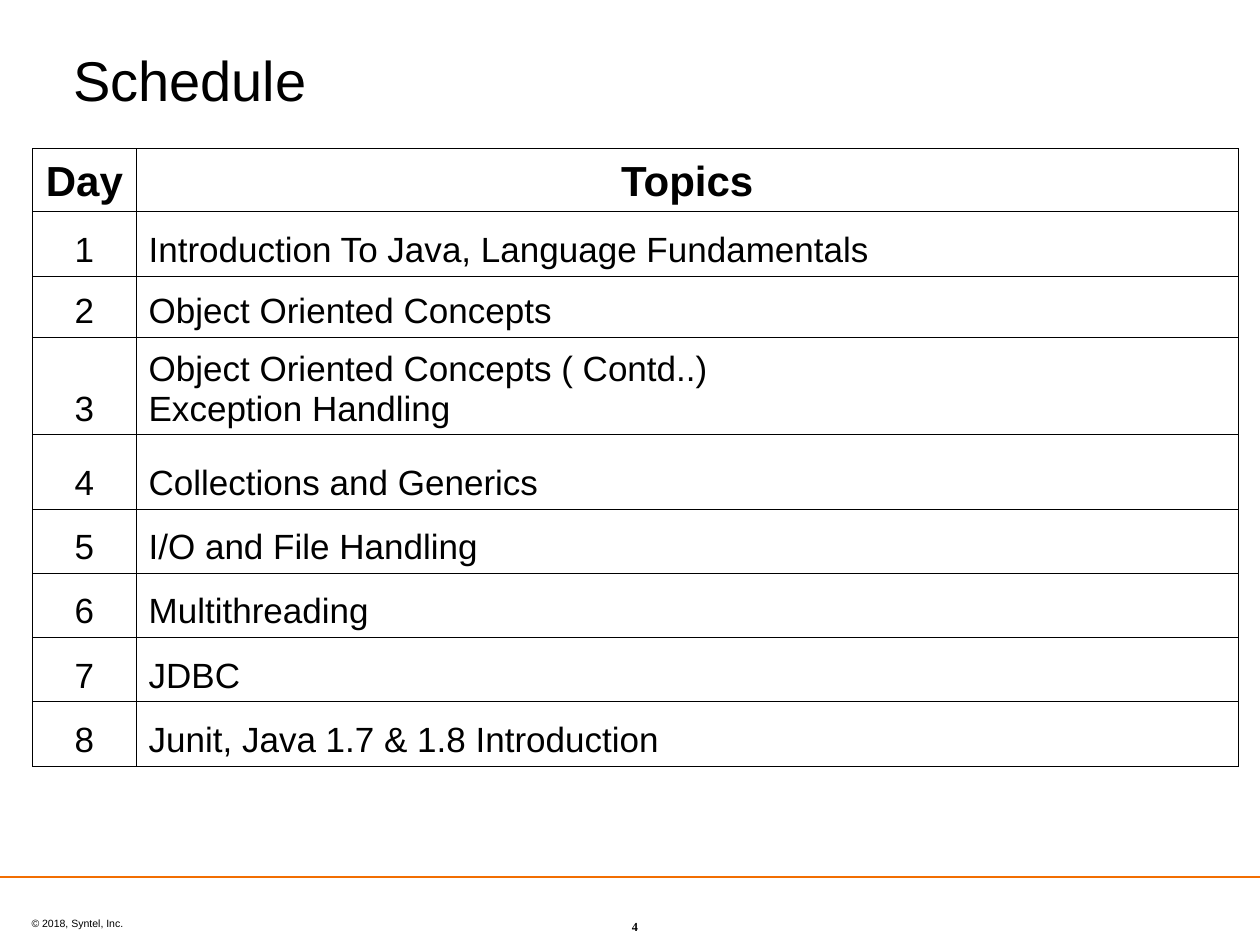
from lxml import etree
from pptx import Presentation, util as u
from pptx.dml.color import RGBColor
from pptx.enum import shapes, text
from pptx.oxml import parse_xml
from pptx.oxml.ns import nsdecls, qn

COLORS = {"ink": "000000", "paper": "FFFFFF", "rule": "F26E01"}
TOPICS = [
    "Introduction To Java, Language Fundamentals",
    "Object Oriented Concepts",
    "Object Oriented Concepts ( Contd..)\nException Handling",
    "Collections and Generics",
    "I/O and File Handling",
    "Multithreading",
    "JDBC",
    "Junit, Java 1.7 & 1.8 Introduction",
]
COLUMN_SHARES = [8.2, 87.5]
ROW_SHARES = [6.67, 6.8, 6.53, 10.27, 7.87] + [6.8] * 4

presentation = Presentation()
presentation.slide_width, presentation.slide_height = u.Inches(10), u.Inches(7.5)
slide = presentation.slides.add_slide(presentation.slide_layouts[5])


def area(left, top, width, height):
    """Turn percentages of the slide into a left, top, width, height list."""
    across, down = presentation.slide_width, presentation.slide_height
    return [int(share * side / 100) for share, side in
            ((left, across), (top, down), (width, across), (height, down))]


def write(frame, wording, size, align, name="Arial", bold=False):
    frame.text = wording
    for paragraph in frame.paragraphs:
        paragraph.alignment = align
        font_format = {"name": name, "size": u.Pt(size), "bold": bold}
        for key, value in font_format.items():
            setattr(paragraph.font, key, value)
        paragraph.font.color.rgb = RGBColor.from_string(COLORS["ink"])


LEFT, CENTER = text.PP_ALIGN.LEFT, text.PP_ALIGN.CENTER

# Footer: rule, copyright line and page number
left, top, width, _ = area(0, 92.8, 100, 0)
rule = slide.shapes.add_connector(
    shapes.MSO_CONNECTOR.STRAIGHT, left, top, left + width, top)
rule.line.color.rgb = RGBColor.from_string(COLORS["rule"])
rule.line.width = u.Pt(0.75)
etree.SubElement(rule._element.spPr, qn("a:effectLst"))

footers = [
    ("© 2018, Syntel, Inc.", (2.5, 97.07, 7.3, 1.33), 6, LEFT, "Arial", False),
    ("4", (48.2, 97.2, 4.4, 1.6), 7, CENTER, "Times New Roman", True),
]
for wording, place, size, align, name, bold in footers:
    frame = slide.shapes.add_textbox(*area(*place)).text_frame
    write(frame, wording, size, align, name, bold)
    frame_format = {
        "margin_left": 0, "margin_top": 0, "margin_right": 0, "margin_bottom": 0,
        "word_wrap": False, "auto_size": text.MSO_AUTO_SIZE.SHAPE_TO_FIT_TEXT,
        "vertical_anchor": text.MSO_ANCHOR.MIDDLE if align == CENTER
        else text.MSO_ANCHOR.TOP,
    }
    for key, value in frame_format.items():
        setattr(frame, key, value)

# Title
title = slide.shapes.title
title.left, title.top, title.width, title.height = area(5.8, 2.27, 95.9, 12.13)
write(title.text_frame, "Schedule", 32, LEFT)
title.text_frame.margin_left = 0
title.text_frame.vertical_anchor = text.MSO_ANCHOR.MIDDLE

# Schedule table
rows = [("Day", "Topics")] + [(str(day), topic) for day, topic in enumerate(TOPICS, 1)]
table = slide.shapes.add_table(
    len(rows), len(COLUMN_SHARES),
    *area(2.6, 15.73, sum(COLUMN_SHARES), sum(ROW_SHARES))).table
for column, share in zip(table.columns, COLUMN_SHARES):
    column.width = area(0, 0, share, 0)[2]
for row, share in zip(table.rows, ROW_SHARES):
    row.height = area(0, 0, 0, share)[3]

for row_index, row in enumerate(rows):
    header = row_index == 0
    for column_index, wording in enumerate(row):
        cell = table.cell(row_index, column_index)
        cell.vertical_anchor = text.MSO_ANCHOR.BOTTOM
        cell.fill.solid()
        cell.fill.fore_color.rgb = RGBColor.from_string(COLORS["paper"])
        write(cell.text_frame, wording, 24 if header else 20,
              CENTER if header or column_index == 0 else LEFT, bold=header)
        for paragraph in cell.text_frame.paragraphs:
            properties = paragraph._p.get_or_add_pPr()
            properties.set("marL", str(u.Inches(0.38)))
            properties.set("indent", str(-u.Inches(0.38)))
        for position, side in enumerate("LRTB"):
            cell._tc.get_or_add_tcPr().insert(position, parse_xml(
                f'<a:ln{side} {nsdecls("a")} w="{u.Pt(0.45)}"><a:solidFill>'
                f'<a:srgbClr val="{COLORS["ink"]}"/></a:solidFill></a:ln{side}>'))

presentation.save("out.pptx")
